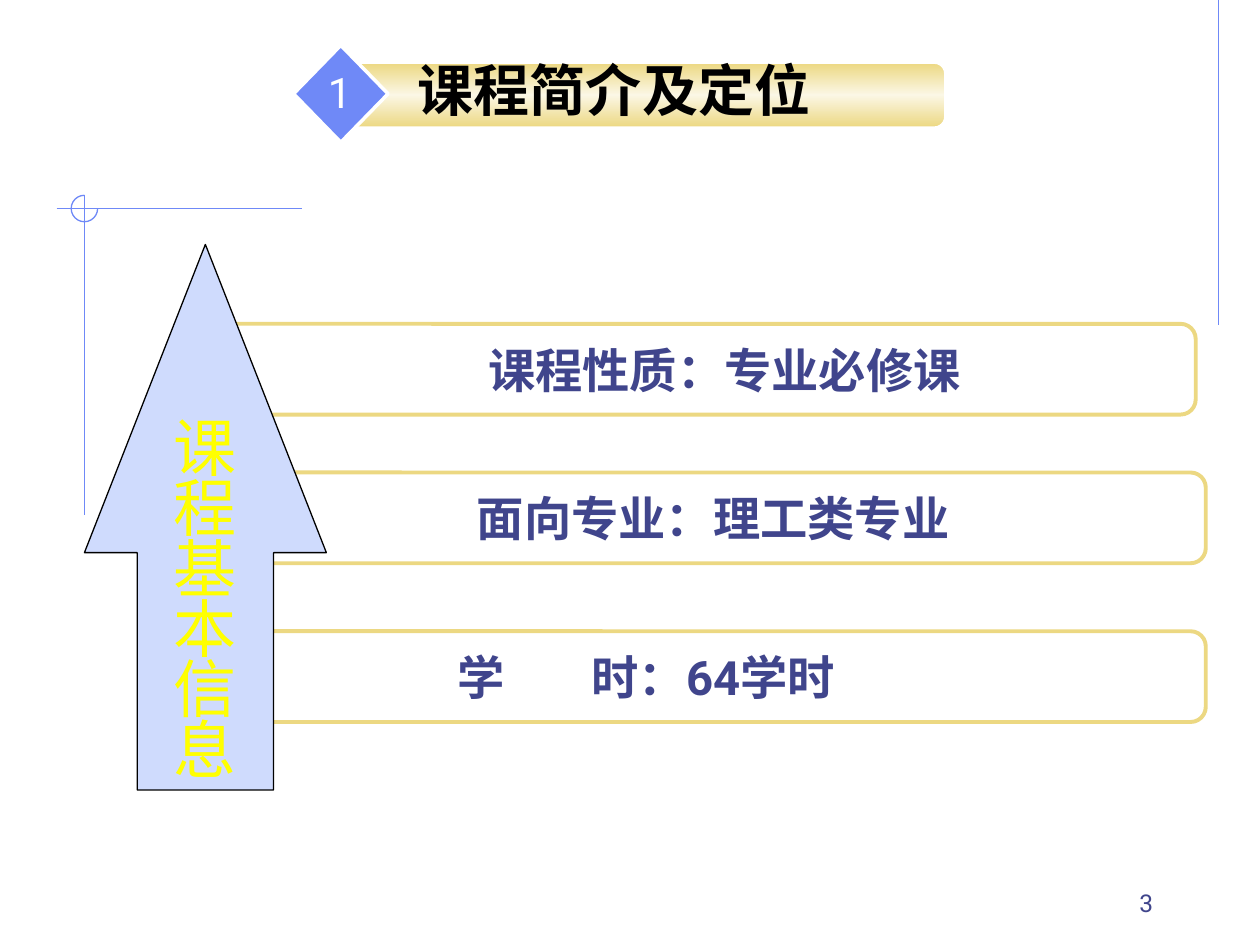
from copy import deepcopy

from lxml.etree import SubElement
from pptx import Presentation
from pptx.dml.color import RGBColor
from pptx.enum.shapes import MSO_CONNECTOR, MSO_SHAPE
from pptx.enum.text import MSO_ANCHOR, MSO_AUTO_SIZE, PP_ALIGN
from pptx.oxml.ns import qn
from pptx.util import Inches, Pt

FONT = "Roboto"
BLUE = RGBColor(0x6F, 0x89, 0xF7)
PALE_BLUE = RGBColor(0xCF, 0xDB, 0xFD)
INDIGO = RGBColor(0x40, 0x45, 0x8C)
GOLD = RGBColor(0xEC, 0xD8, 0x82)
CREAM = RGBColor(0xFB, 0xF7, 0xE5)
YELLOW = RGBColor(0xFF, 0xFF, 0x00)
WHITE = RGBColor(0xFF, 0xFF, 0xFF)
BLACK = RGBColor(0, 0, 0)


def add_shape(s, kind, box, fill, line, width):
    """Add a preset shape without shadow; a fill of None leaves it open."""
    sp = s.shapes.add_shape(kind, *map(Inches, box))
    sp.shadow.inherit = False
    if fill is None:
        sp.fill.background()
    else:
        sp.fill.solid()
        sp.fill.fore_color.rgb = fill
    sp.line.color.rgb = line
    sp.line.width = Pt(width)
    return sp


def add_line(s, x1, y1, x2, y2):
    line = s.shapes.add_connector(MSO_CONNECTOR.STRAIGHT, *map(Inches, (x1, y1, x2, y2)))
    line.line.color.rgb = BLUE
    line.line.width = Pt(0.75)
    SubElement(line.element.spPr, qn("a:effectLst"))


def set_text(sp, text, size, color, bold=False, align=PP_ALIGN.CENTER,
             anchor=MSO_ANCHOR.TOP, wrap=True):
    tf = sp.text_frame
    tf.text = text
    tf.word_wrap = wrap
    tf.auto_size = MSO_AUTO_SIZE.NONE
    tf.vertical_anchor = anchor
    for p in tf.paragraphs:
        p.alignment = align
        for r in p.runs:
            r.font.name = FONT
            r.font.size = Pt(size)
            r.font.bold = bold
            r.font.color.rgb = color
    return tf


def add_label(s, box, text, size, color, **style):
    return set_text(s.shapes.add_textbox(*map(Inches, box)), text, size, color, **style)


def add_decoration(s, x, y, right):
    """Draw the corner cross centred on (x, y) and the rule at the right edge."""
    radius = 0.105
    add_line(s, right, 0, right, 2.58)
    add_line(s, x - 0.22, y, x + 1.73, y)
    add_line(s, x, y - radius, x, y + 2.43)
    arc = add_shape(s, MSO_SHAPE.ARC, (x - radius, y - radius, 2 * radius, 2 * radius),
                    None, BLUE, 0.75)
    arc.adjustments[0] = 0
    arc.adjustments[1] = 270 * 60000 / 100000


def add_heading(s, x, y, w, h, number, title):
    """Set the title on a gold bar with a numbered diamond at its left end."""
    bar = add_shape(s, MSO_SHAPE.ROUNDED_RECTANGLE, (x, y, w, h), GOLD, WHITE, 1)
    bar.fill.gradient()
    bar.fill.gradient_angle = 90
    first, last = bar.fill.gradient_stops
    for stop, position in ((first, 0), (last, 1)):
        stop.color.rgb = GOLD
        stop.position = position
    stops = bar.element.spPr.find(".//" + qn("a:gsLst"))
    stops.insert(1, deepcopy(stops[0]))
    middle = bar.fill.gradient_stops[1]
    middle.color.rgb = CREAM
    middle.position = 0.5

    add_shape(s, MSO_SHAPE.DIAMOND, (x - 0.42, y - 0.14, 0.75, 0.77), BLUE, WHITE, 2)
    heading = s.shapes.title
    heading.left, heading.top = Inches(x + 0.25), Inches(y - 0.11)
    heading.width, heading.height = Inches(w - 1), Inches(0.64)
    set_text(heading, title, 32, BLACK, bold=True)
    heading.element.getparent().append(heading.element)  # in front of the bar
    add_label(s, (x - 0.25, y - 0.02, 0.39, 0.5), number, 24, WHITE, wrap=False)


def add_fact(s, x, y, w, h, text, indent):
    """Add an outlined row whose text starts at the given indent."""
    sp = add_shape(s, MSO_SHAPE.ROUNDED_RECTANGLE, (x, y, w, h), WHITE, GOLD, 2.25)
    tf = set_text(sp, text, 27, INDIGO, bold=True, align=PP_ALIGN.LEFT,
                  anchor=MSO_ANCHOR.MIDDLE)
    tf.margin_left = Inches(indent)
    if "\t" in text:
        tabs = SubElement(tf.paragraphs[0]._p.get_or_add_pPr(), qn("a:tabLst"))
        SubElement(tabs, qn("a:tab"), pos=str(Inches(1.06)), algn="l")


def add_arrow(s, x, y, w, h, text):
    """Add the tall arrow with one character on each line."""
    sp = add_shape(s, MSO_SHAPE.UP_ARROW, (x, y, w, h), PALE_BLUE, BLACK, 0.75)
    sp.adjustments[0] = 0.564
    sp.adjustments[1] = 1.274
    tf = set_text(sp, "\n".join(text), 36, YELLOW, anchor=MSO_ANCHOR.MIDDLE, wrap=False)
    for p in tf.paragraphs:
        p.line_spacing = 0.8


def main():
    prs = Presentation()
    prs.slide_width, prs.slide_height = Inches(10), Inches(7.5)
    s = prs.slides.add_slide(prs.slide_layouts[5])

    add_decoration(s, 0.67, 1.655, 9.67)
    facts = (
        (1.69, 2.57, "课程性质：专业必修课", 2.15),
        (1.77, 3.75, "面向专业：理工类专业", 1.98),
        (1.77, 5.01, "学\t时：64学时", 1.83),
    )
    for x, y, text, indent in facts:
        add_fact(s, x, y, 7.8, 0.72, text, indent)
    add_arrow(s, 0.67, 1.94, 1.92, 4.33, "课程基本信息")
    add_heading(s, 2.75, 0.5, 4.75, 0.51, "1", "课程简介及定位")
    add_label(s, (7.17, 6.83, 2.08, 0.5), "3", 14, INDIGO,
              align=PP_ALIGN.RIGHT, anchor=MSO_ANCHOR.BOTTOM)
    prs.save("out.pptx")


if __name__ == "__main__":
    main()
